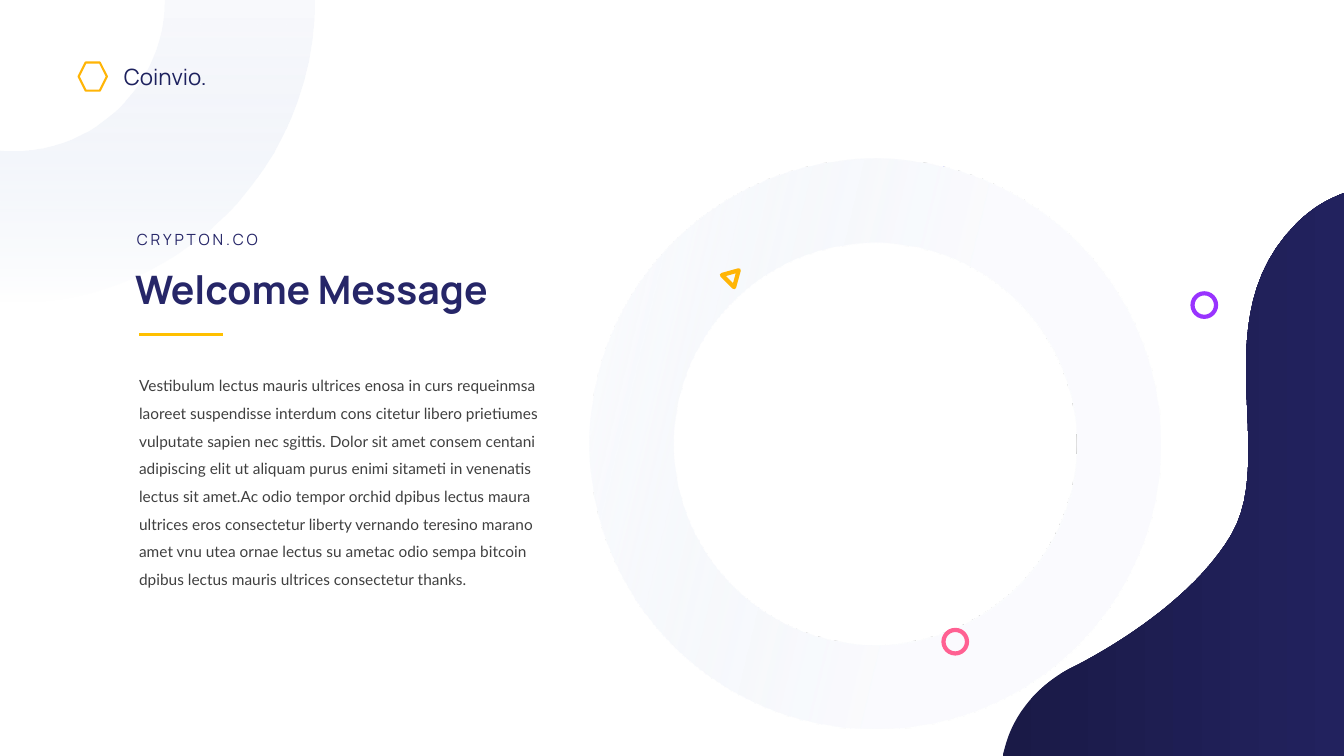
from lxml import etree
from pptx import Presentation
from pptx.dml.color import RGBColor
from pptx.enum.shapes import MSO_CONNECTOR, MSO_SHAPE
from pptx.enum.text import MSO_ANCHOR, MSO_AUTO_SIZE, PP_ALIGN
from pptx.oxml.ns import qn
from pptx.util import Inches, Pt

DONUT = MSO_SHAPE.DONUT
OVAL = MSO_SHAPE.OVAL
TRIANGLE = MSO_SHAPE.ISOSCELES_TRIANGLE
HEXAGON = MSO_SHAPE.HEXAGON
STRAIGHT = MSO_CONNECTOR.STRAIGHT
TOP = MSO_ANCHOR.TOP
LEFT = PP_ALIGN.LEFT
FIXED = MSO_AUTO_SIZE.NONE

MIST = RGBColor(0xF9, 0xFA, 0xFD)
ICE = RGBColor(0xDA, 0xE3, 0xF3)
NIGHT = RGBColor(0x1A, 0x1A, 0x47)
DUSK = RGBColor(0x22, 0x22, 0x5E)
NAVY = RGBColor(0x26, 0x26, 0x68)
INK = RGBColor(0x1D, 0x21, 0x5E)
GRAY = RGBColor(0x40, 0x40, 0x40)
PINK = RGBColor(0xFF, 0x60, 0x92)
VIOLET = RGBColor(0x99, 0x33, 0xFF)
AMBER = RGBColor(0xFF, 0xB5, 0x06)
GOLD = RGBColor(0xFF, 0xC0, 0x00)

WIDTH, HEIGHT = Inches(13.33), Inches(7.5)
CELL = WIDTH / 100
STEPS = 24

BAND = [(12.23, 0), (23.4, 0),
        [(23.4, 12.45), (13.35, 22.5), (0.98, 22.5)],
        (0, 22.45), (0, 11.2), (0.98, 11.25),
        [(7.13, 11.25), (12.23, 6.23), (12.23, 0)]]
WAVE = [(100, 14.36), (100, 56.25), (74.6, 56.25), (74.85, 55.35),
        [(75.53, 53.03), (77.25, 51), (79.65, 49.73)],
        [(79.65, 49.73), (88.13, 45.75), (91.65, 39.75)],
        [(95.1, 33.68), (89.48, 23.63), (96.45, 16.65)],
        [(97.35, 15.75), (98.33, 15.08), (99.38, 14.63)]]
BODY = ("Vestibulum lectus mauris ultrices enosa in curs requeinmsa laoreet "
        "suspendisse interdum cons citetur libero prietiumes vulputate sapien "
        "nec sgittis. Dolor sit amet consem centani adipiscing elit ut aliquam "
        "purus enimi sitameti in venenatis lectus sit amet.Ac odio tempor "
        "orchid dpibus lectus maura ultrices eros consectetur liberty vernando "
        "teresino marano amet vnu utea ornae lectus su ametac odio sempa "
        "bitcoin dpibus lectus mauris ultrices consectetur thanks.")


def grid(*cells):
    """Turn square cells, a hundred to the slide's width, into lengths."""
    return [round(cell * CELL) for cell in cells]


def bend(start, curve):
    """List points along a cubic curve."""
    a, b, c, d = start, *curve
    points = []
    for step in range(1, STEPS + 1):
        t = step / STEPS
        u = 1 - t
        points.append(tuple(
            u**3 * a[i] + 3 * u * u * t * b[i] + 3 * u * t * t * c[i] + t**3 * d[i]
            for i in (0, 1)))
    return points


def shade(shape, stops, angle):
    """Fill a shape with a gradient of colour, place and opacity."""
    shape.shadow.inherit = False
    shape.line.fill.background()
    shape.fill.gradient()
    shape.fill.gradient_angle = angle
    for stop, (color, place, _) in zip(shape.fill.gradient_stops, stops):
        stop.color.rgb = color
        stop.position = place
    tints = list(shape.element.iter(qn("a:srgbClr")))
    for tint, (_, _, alpha) in zip(tints, stops):
        etree.SubElement(tint, qn("a:alpha")).set("val", str(alpha * 1000))


def blob(slide, parts):
    """Draw a closed outline of straight and curved parts."""
    points = [parts[0]]
    for part in parts[1:]:
        points += bend(points[-1], part) if isinstance(part, list) else [part]
    first, *rest = [tuple(grid(*point)) for point in points]
    form = slide.shapes.build_freeform(*first)
    form.add_line_segments(rest)
    return form.convert_to_shape()


def ring(slide, kind, box, color, width=3, turn=0):
    """Draw a small hollow shape."""
    shape = slide.shapes.add_shape(kind, *grid(*box))
    shape.shadow.inherit = False
    shape.fill.background()
    shape.line.color.rgb = color
    shape.line.width = Pt(width)
    shape.rotation = turn


def write(shape, box, text, font, size, color, bold=False, gap=None, lead=1):
    """Place a text shape and format its one paragraph."""
    shape.left, shape.top, shape.width, shape.height = grid(*box)
    shape.element.getparent().append(shape.element)
    frame = shape.text_frame
    frame.text = text
    frame.word_wrap = True
    frame.auto_size = FIXED
    frame.vertical_anchor = TOP
    para = frame.paragraphs[0]
    props = para._p.get_or_add_pPr()
    props.set("marL", "0")
    props.set("indent", "0")
    etree.SubElement(props, qn("a:buNone"))
    para.alignment = LEFT
    para.line_spacing = lead
    para.space_before = Pt(0)
    run = para.runs[0]
    run.font.name = font
    run.font.size = Pt(size)
    run.font.bold = bold
    run.font.color.rgb = color
    if gap:
        run.font._element.set("spc", str(gap * 100))


def label(slide, box, *style, **more):
    """Add a text box."""
    write(slide.shapes.add_textbox(*grid(*box)), box, *style, **more)


def rule(slide, x, y, size, color, width):
    """Draw a level line."""
    line = slide.shapes.add_connector(STRAIGHT, *grid(x, y, x + size, y))
    line.line.color.rgb = color
    line.line.width = Pt(width)
    etree.SubElement(line.element.spPr, qn("a:effectLst"))


def main():
    """Build the welcome slide."""
    deck = Presentation()
    deck.slide_width, deck.slide_height = WIDTH, HEIGHT
    slide = deck.slides.add_slide(deck.slide_layouts[1])

    donut = slide.shapes.add_shape(DONUT, *grid(43.88, 11.78, 42.45, 42.45))
    donut.adjustments[0] = 0.148
    donut.rotation = 103.3
    shade(donut, [(MIST, 0.41, 72), (ICE, 1, 0)], 270)
    shade(blob(slide, BAND), [(MIST, 0, 100), (ICE, 1, 0)], 270)

    ring(slide, OVAL, (70.2, 46.88, 1.75, 1.75), PINK)
    ring(slide, OVAL, (88.73, 21.83, 1.75, 1.75), VIOLET)
    ring(slide, TRIANGLE, (53.93, 19.95, 1.28, 1.13), AMBER, turn=45)
    shade(blob(slide, WAVE), [(NIGHT, 0, 100), (DUSK, 1, 100)], 0)

    label(slide, (8.48, 4.35, 9.68, 2.78), "Coinvio.", "Manrope", 16, INK)
    ring(slide, HEXAGON, (5.85, 4.65, 2.1, 2.1), AMBER, 1.5)
    write(slide.shapes.title, (9.3, 19.35, 33.45, 4.28),
          "Welcome Message", "Manrope", 28, NAVY, bold=True)
    label(slide, (9.45, 16.73, 13.88, 2.18),
          "CRYPTON.CO", "Manrope", 11, NAVY, gap=2)
    write(slide.placeholders[1], (9.6, 26.93, 33.3, 17.18),
          BODY, "Lato", 11, GRAY, lead=1.5)
    rule(slide, 10.35, 24.9, 6.23, GOLD, 2.25)
    deck.save("out.pptx")


if __name__ == "__main__":
    main()
